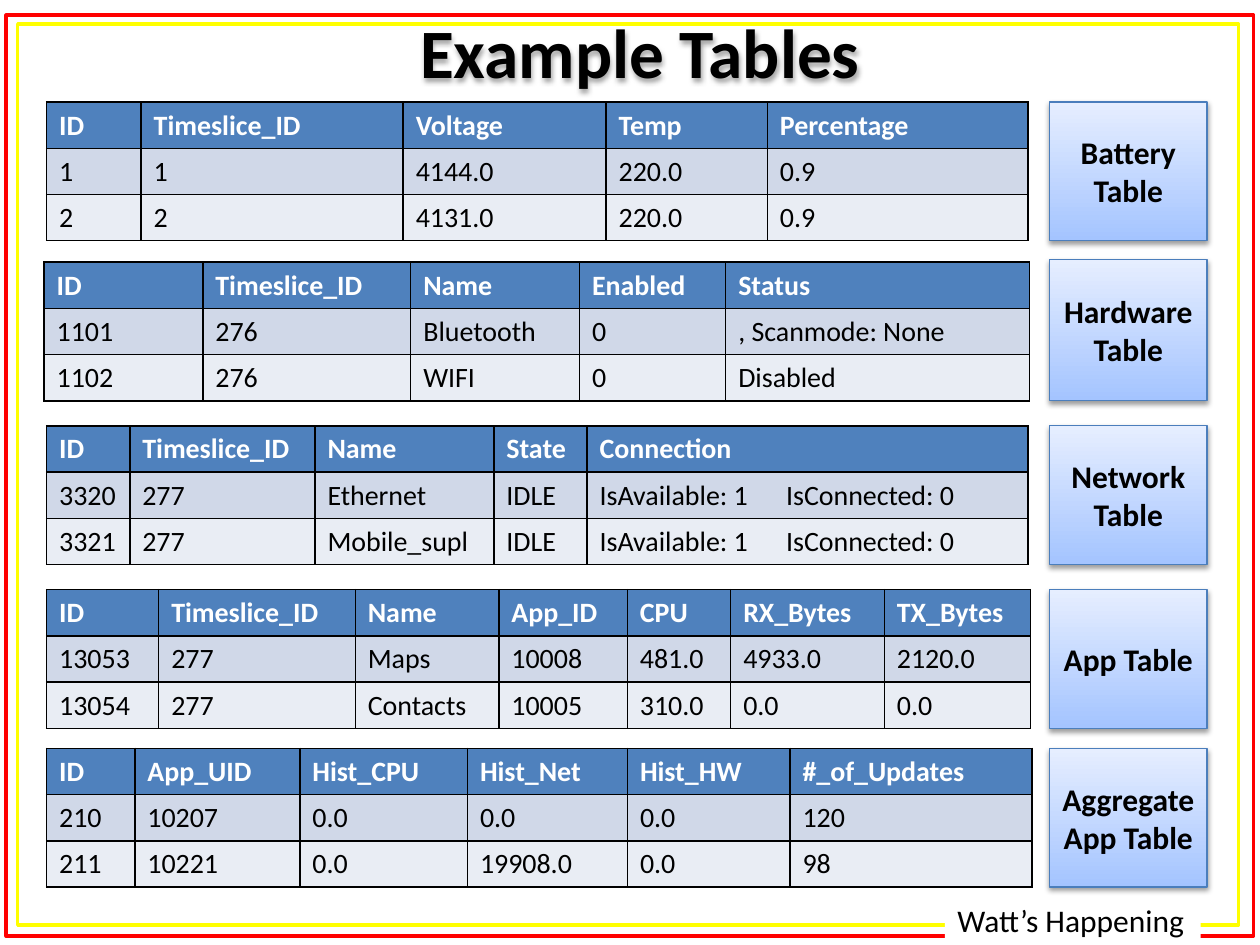
from lxml import etree
from pptx import Presentation, util as u
from pptx.dml.color import RGBColor
from pptx.enum import shapes, text
from pptx.oxml import parse_xml
from pptx.oxml.ns import nsdecls, qn

HUES = {"red": "FF0000", "yellow": "FFFF00", "white": "FFFFFF", "black": "000000",
        "head": "4F81BD", "odd": "D0D8E8", "even": "E9EDF4",
        "edge": "4B7EBC", "deep": "A4C4FF", "pale": "E6EEFF"}
ROW = 1.1 / 3
TAB = 1.48

# label, label top and height, table left and top, column widths, rows
TABLES = [
    ("Battery Table", 0.81, 1.1, 0.37, 0.81, [0.75, 2.08, 1.61, 1.28, 2.07], [
        ["ID", "Timeslice_ID", "Voltage", "Temp", "Percentage"],
        ["1", "1", "4144.0", "220.0", "0.9"],
        ["2", "2", "4131.0", "220.0", "0.9"]]),
    ("Hardware Table", 2.06, 1.12, 0.35, 2.08, [1.26, 1.65, 1.34, 1.16, 2.41], [
        ["ID", "Timeslice_ID", "Name", "Enabled", "Status"],
        ["1101", "276", "Bluetooth", "0", ", Scanmode: None"],
        ["1102", "276", "WIFI", "0", "Disabled"]]),
    ("Network\nTable", 3.38, 1.1, 0.37, 3.38, [0.66, 1.47, 1.42, 0.74, 3.5], [
        ["ID", "Timeslice_ID", "Name", "State", "Connection"],
        ["3320", "277", "Ethernet", "IDLE", "IsAvailable: 1\tIsConnected: 0"],
        ["3321", "277", "Mobile_supl", "IDLE", "IsAvailable: 1\tIsConnected: 0"]]),
    ("App Table", 4.68, 1.1, 0.37, 4.68, [0.89, 1.56, 1.14, 1.02, 0.82, 1.22, 1.16], [
        ["ID", "Timeslice_ID", "Name", "App_ID", "CPU", "RX_Bytes", "TX_Bytes"],
        ["13053", "277", "Maps", "10008", "481.0", "4933.0", "2120.0"],
        ["13054", "277", "Contacts", "10005", "310.0", "0.0", "0.0"]]),
    ("Aggregate\nApp Table", 5.94, 1.1, 0.37, 5.94, [0.7, 1.31, 1.33, 1.27, 1.29, 1.92], [
        ["ID", "App_UID", "Hist_CPU", "Hist_Net", "Hist_HW", "#_of_Updates"],
        ["210", "10207", "0.0", "0.0", "0.0", "120"],
        ["211", "10221", "0.0", "19908.0", "0.0", "98"]]),
]


def rgb(hue):
    return RGBColor.from_string(HUES[hue])


class Deck:
    font = "Calibri"

    def __init__(self, slide):
        self.slide = slide

    def put(self, frame, words, size, hue="black", bold=False, align=None):
        frame.text = words
        form = {"name": self.font, "size": u.Pt(size), "bold": bold}
        for para in frame.paragraphs:
            para.alignment = align
            for run in para.runs:
                for key, val in form.items():
                    setattr(run.font, key, val)
                run.font.color.rgb = rgb(hue)

    def shade(self, shape, alpha):
        shape.element.spPr.append(parse_xml(
            f'<a:effectLst {nsdecls("a")}><a:outerShdw blurRad="{u.Pt(3.1)}" '
            f'dist="{u.Pt(1.7)}" dir="5400000" rotWithShape="0">'
            f'<a:srgbClr val="{HUES["black"]}"><a:alpha val="{alpha}000"/>'
            '</a:srgbClr></a:outerShdw></a:effectLst>'))

    def rect(self, box, line, width=2):
        shape = self.slide.shapes.add_shape(
            shapes.MSO_SHAPE.RECTANGLE, *map(u.Inches, box))
        shape.fill.background()
        shape.line.color.rgb = rgb(line)
        shape.line.width = u.Pt(width)
        return shape

    def frame(self, box, hue):
        self.rect(box, hue).shadow.inherit = False

    def label(self, box, words):
        shape = self.rect(box, "edge", 0.75)
        shape.fill.gradient()
        shape.fill.gradient_angle = 90
        for stop, hue in zip(shape.fill.gradient_stops, ("deep", "pale")):
            stop.color.rgb = rgb(hue)
        self.shade(shape, 38)
        self.put(shape.text_frame, words, 18, bold=True, align=text.PP_ALIGN.CENTER)

    def title(self, box, words):
        shape = self.slide.shapes.add_textbox(*map(u.Inches, box))
        frame = shape.text_frame
        frame.word_wrap = True
        frame.vertical_anchor = text.MSO_ANCHOR.MIDDLE
        self.put(frame, words, 39.6, bold=True, align=text.PP_ALIGN.CENTER)
        self.shade(shape, 35)

    def footer(self, box, words):
        shape = self.slide.shapes.add_textbox(*map(u.Inches, box))
        shape.fill.solid()
        shape.fill.fore_color.rgb = rgb("white")
        shape.text_frame.word_wrap = False
        self.put(shape.text_frame, words, 18)

    def border(self, cell):
        props = cell._tc.get_or_add_tcPr()
        for side in "LRTB":
            props.append(parse_xml(
                f'<a:ln{side} {nsdecls("a")} w="{u.Pt(1)}"><a:solidFill>'
                f'<a:srgbClr val="{HUES["black"]}"/></a:solidFill></a:ln{side}>'))

    def table(self, left, top, cols, rows):
        grid = self.slide.shapes.add_table(
            len(rows), len(cols), u.Inches(left), u.Inches(top),
            u.Inches(sum(cols)), u.Inches(ROW * len(rows))).table
        for col, wide in zip(grid.columns, cols):
            col.width = u.Inches(wide)
        for r, row in enumerate(rows):
            grid.rows[r].height = u.Inches(ROW)
            for c, words in enumerate(row):
                cell = grid.cell(r, c)
                self.border(cell)
                cell.fill.solid()
                cell.fill.fore_color.rgb = rgb(("head", "odd", "even")[r])
                self.put(cell.text_frame, words, 16,
                         "black" if r else "white", bold=not r)
                if "\t" in words:
                    self.tab(cell.text_frame.paragraphs[0])

    def tab(self, para):
        stops = etree.SubElement(para._p.get_or_add_pPr(), qn("a:tabLst"))
        etree.SubElement(stops, qn("a:tab"), pos=str(u.Inches(TAB)), algn="l")


def main():
    show = Presentation()
    show.slide_width, show.slide_height = u.Inches(10), u.Inches(7.5)
    deck = Deck(show.slides.add_slide(show.slide_layouts[6]))

    # Page frames and footer
    deck.frame((0.05, 0.12, 9.9, 7.31), "red")
    deck.frame((0.14, 0.19, 9.69, 7.15), "yellow")
    deck.footer((7.5, 7.1, 2.03, 0.4), "Watt’s Happening")

    # Tables with their labels
    for name, high, tall, left, top, cols, rows in TABLES:
        deck.table(left, top, cols, rows)
        deck.label((8.33, high, 1.25, tall), name)

    # Title
    deck.title((0.58, 0.03, 9, 0.75), "Example Tables")
    show.save("out.pptx")


if __name__ == "__main__":
    main()
